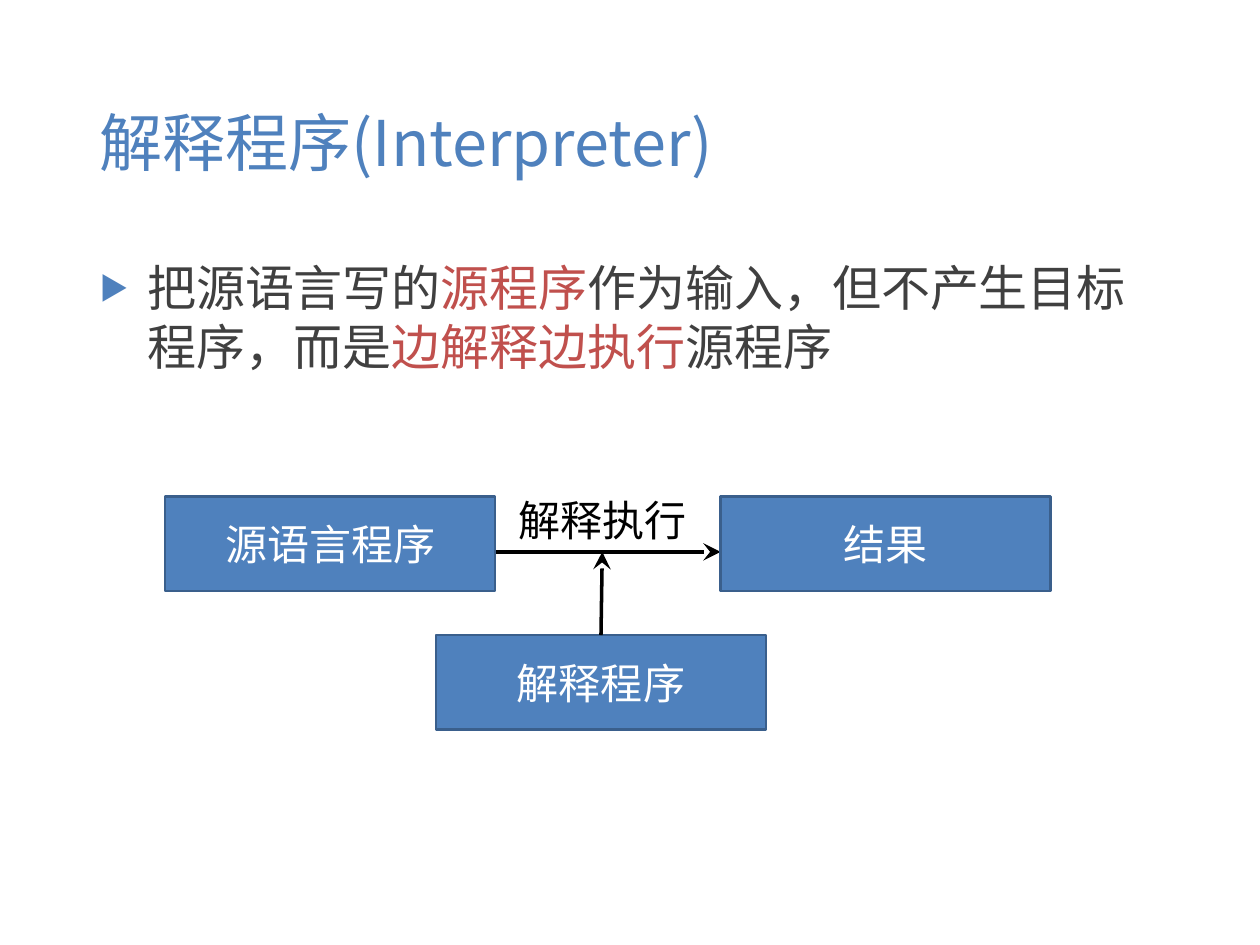
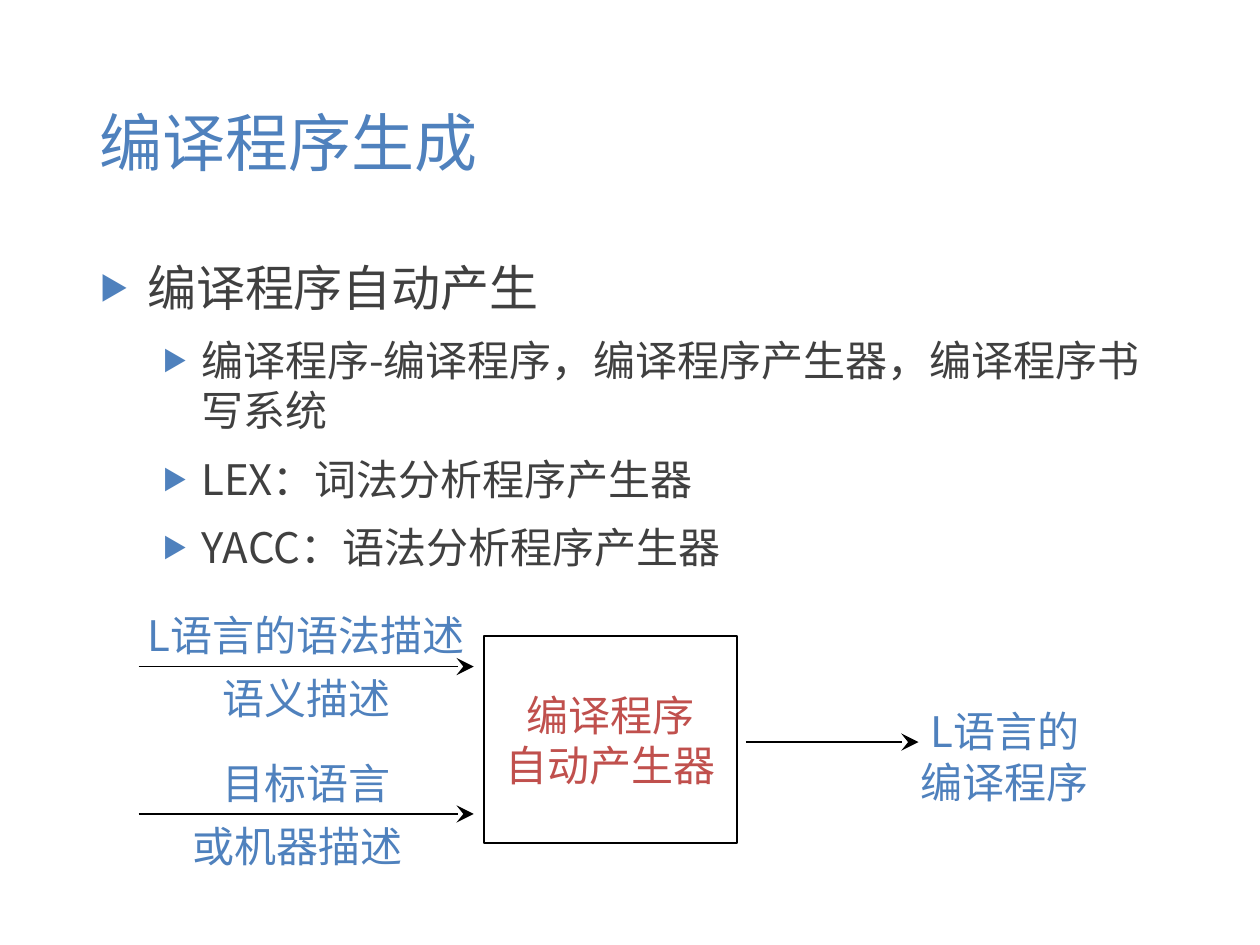
from dataclasses import dataclass

from lxml.etree import SubElement
from pptx import Presentation
from pptx.dml.color import RGBColor
from pptx.enum.shapes import MSO_CONNECTOR, MSO_SHAPE
from pptx.enum.text import MSO_ANCHOR, PP_ALIGN
from pptx.oxml.ns import qn
from pptx.util import Inches, Pt


@dataclass(frozen=True)
class Theme:
    font: str = "Noto Sans CJK SC"
    blue: str = "4F81BD"
    border: str = "3A5F8C"
    red: str = "C0504D"
    grey: str = "404040"
    black: str = "000000"
    white: str = "FFFFFF"
    title_size: int = 36
    body_sizes: tuple = (28, 24)
    label_size: int = 24
    line_pitch: float = 1.21
    # Left margin and hanging indent of each bullet level, in inches
    indents: tuple = ((0.38, 0.38), (0.81, 0.31))


THEME = Theme()
TITLE_BOX = (0.69, 0.4, 8.63, 1.45)
BODY_BOX = (0.69, 1.99, 8.63, 4.76)


def rgb(color):
    return RGBColor.from_string(color)


def inches(*values):
    return [Inches(v) for v in values]


def format_run(r, size, color):
    r.font.size = Pt(size)
    r.font.color.rgb = rgb(color)
    r.font.name = THEME.font
    SubElement(r._r.get_or_add_rPr(), qn("a:ea"), typeface=THEME.font)


def add_title_slide(prs, title):
    s = prs.slides.add_slide(prs.slide_layouts[5])
    sp = s.shapes.title
    sp.left, sp.top, sp.width, sp.height = inches(*TITLE_BOX)
    tf = sp.text_frame
    tf.text = title
    tf.word_wrap = True
    tf.vertical_anchor = MSO_ANCHOR.MIDDLE
    p = tf.paragraphs[0]
    p.alignment = PP_ALIGN.LEFT
    format_run(p.runs[0], THEME.title_size, THEME.blue)
    return s


def set_bullet(p, level):
    margin, hang = THEME.indents[level]
    pPr = p._p.get_or_add_pPr()
    pPr.set("marL", str(Inches(margin)))
    pPr.set("indent", str(-Inches(hang)))
    color = SubElement(pPr, qn("a:buClr"))
    SubElement(color, qn("a:srgbClr"), val=THEME.blue)
    SubElement(pPr, qn("a:buSzPct"), val="60000")
    SubElement(pPr, qn("a:buFont"), typeface=THEME.font)
    SubElement(pPr, qn("a:buChar"), char="▶")


def add_bullets(s, items):
    """Each item is a level and a list of (text, colour) pieces."""
    tf = s.shapes.add_textbox(*inches(*BODY_BOX)).text_frame
    tf.word_wrap = True
    for i, (level, pieces) in enumerate(items):
        p = tf.paragraphs[0] if i == 0 else tf.add_paragraph()
        size = THEME.body_sizes[level]
        p.level = level
        p.line_spacing = Pt(size * THEME.line_pitch)
        if i:
            p.space_before = Pt(10)
        set_bullet(p, level)
        for text, color in pieces:
            r = p.add_run()
            r.text = text
            format_run(r, size, color)


def set_label(sp, text, color):
    tf = sp.text_frame
    tf.text = text
    tf.word_wrap = False
    tf.vertical_anchor = MSO_ANCHOR.MIDDLE
    tf.margin_left = tf.margin_right = 0
    for p in tf.paragraphs:
        p.alignment = PP_ALIGN.CENTER
        if len(tf.paragraphs) > 1:
            p.line_spacing = Pt(THEME.label_size * THEME.line_pitch)
        format_run(p.runs[0], THEME.label_size, color)


def add_label(s, box, text, color=THEME.blue):
    set_label(s.shapes.add_textbox(*inches(*box)), text, color)


def add_box(s, box, text, color=THEME.white, fill=THEME.blue,
            line=THEME.border, weight=1.5):
    sp = s.shapes.add_shape(MSO_SHAPE.RECTANGLE, *inches(*box))
    sp.shadow.inherit = False
    if fill:
        sp.fill.solid()
        sp.fill.fore_color.rgb = rgb(fill)
    else:
        sp.fill.background()
    sp.line.color.rgb = rgb(line)
    sp.line.width = Pt(weight)
    set_label(sp, text, color)


def add_arrow(s, start, end, weight=1):
    c = s.shapes.add_connector(MSO_CONNECTOR.STRAIGHT, *inches(*start, *end))
    c.line.color.rgb = rgb(THEME.black)
    c.line.width = Pt(weight)
    SubElement(c.line._get_or_add_ln(), qn("a:tailEnd"),
               type="stealth", w="lg", len="lg")
    SubElement(c._element.spPr, qn("a:effectLst"))


def build_interpreter(prs):
    s = add_title_slide(prs, "解释程序(Interpreter)")
    add_bullets(s, [(0, [
        ("把源语言写的", THEME.grey),
        ("源程序", THEME.red),
        ("作为输入，但不产生目标程序，而是", THEME.grey),
        ("边解释边执行", THEME.red),
        ("源程序", THEME.grey),
    ])])

    # Source program to result, driven by the interpreter below
    flow_y = 4.38
    add_arrow(s, (3.94, flow_y), (5.72, flow_y), 2)
    for x, y, text in ((1.31, 3.94, "源语言程序"),
                       (5.72, 3.94, "结果"),
                       (3.46, 5.04, "解释程序")):
        add_box(s, (x, y, 2.62, 0.75), text)
    add_arrow(s, (4.77, 5.04), (4.78, flow_y), 2)
    add_label(s, (3.95, 3.79, 1.67, 0.67), "解释执行", THEME.black)


def build_generator(prs):
    s = add_title_slide(prs, "编译程序生成")
    bullets = (
        (0, "编译程序自动产生"),
        (1, "编译程序-编译程序，编译程序产生器，编译程序书写系统"),
        (1, "LEX：词法分析程序产生器"),
        (1, "YACC：语法分析程序产生器"),
    )
    add_bullets(s, [(level, [(text, THEME.grey)]) for level, text in bullets])

    # Generator
    add_box(s, (3.84, 5.05, 2.01, 1.64), "编译程序\n自动产生器",
            THEME.red, fill=None, line=THEME.black, weight=1)

    # Inputs: one label above and one below each arrow
    label_w, label_h = 2.7, 0.5
    for y, above, below, below_x in (
            (5.29, "L语言的语法描述", "语义描述", 1.08),
            (6.46, "目标语言", "或机器描述", 1.01)):
        add_label(s, (1.08, y - label_h, label_w, label_h), above)
        add_label(s, (below_x, y, label_w, label_h), below)
        add_arrow(s, (1.1, y), (3.76, y))

    # Output
    add_arrow(s, (5.92, 5.89), (7.29, 5.89))
    add_label(s, (7.22, 5.32, 1.51, 1.36), "L语言的\n编译程序")


def main():
    prs = Presentation()
    prs.slide_width, prs.slide_height = inches(10, 7.5)
    build_interpreter(prs)
    build_generator(prs)
    prs.save("out.pptx")


if __name__ == "__main__":
    main()
